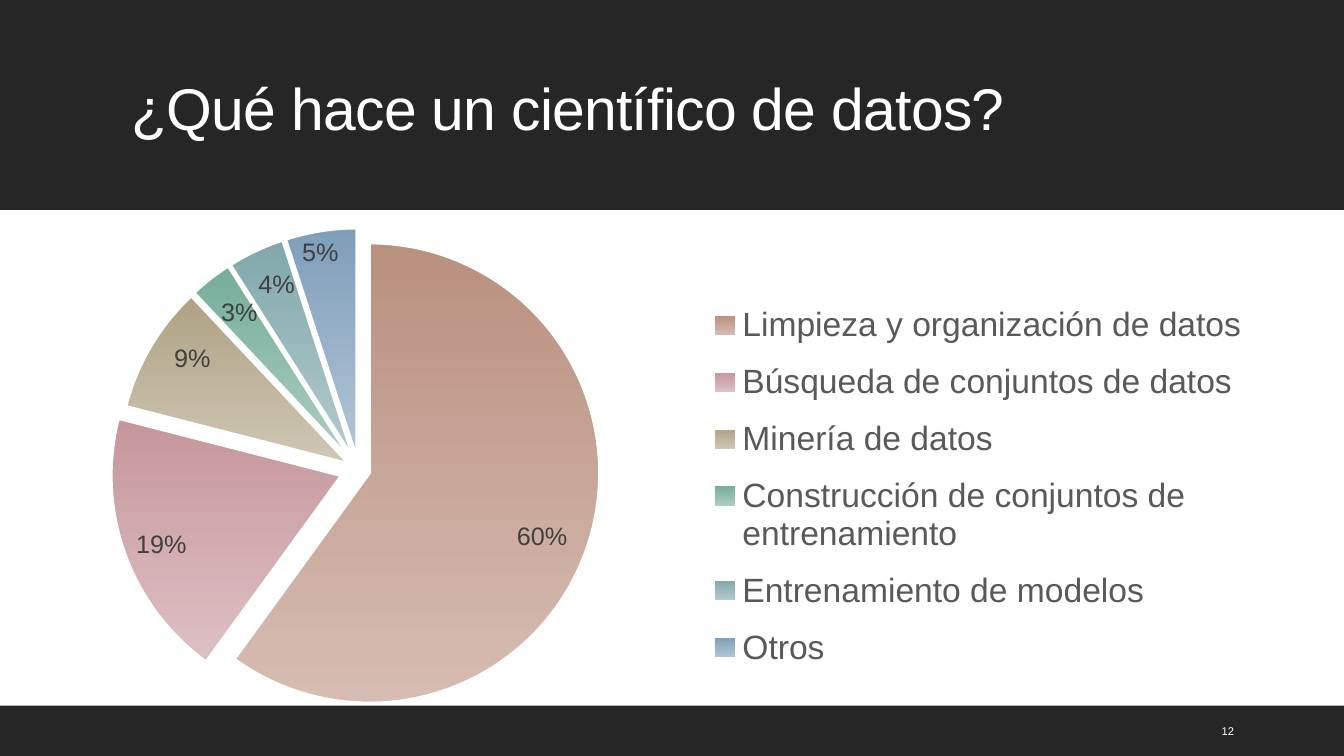
from lxml import etree
from pptx import Presentation
from pptx import util as u
from pptx.chart.data import CategoryChartData
from pptx.dml.color import RGBColor
from pptx.enum import chart as charts, shapes, text
from pptx.oxml import parse_xml
from pptx.oxml.ns import nsdecls, qn

COLORS = {"paper": "FFFFFF", "band": "262626", "legend": "595959", "label": "404040"}
WIDTH, HEIGHT = 960, 540
TASKS = [
    ("Limpieza y organización de datos", 60, 5, (-11, 6), "BA907F", "D6BCB2"),
    ("Búsqueda de conjuntos de datos", 19, 8, (4, 5), "C6969C", "DDC0C4"),
    ("Minería de datos", 9, 5, (13, -4), "AFA283", "CFC7B5"),
    ("Construcción de conjuntos de entrenamiento", 3, 5, (5, 11), "76AD9A", "ADCEC2"),
    ("Entrenamiento de modelos", 4, 5, (0, 10), "81A8AB", "B3CBCD"),
    ("Otros", 5, 5, (-14, 1), "7F9EBA", "B2C5D6"),
]


class SlideBuilder:
    def __init__(self, page, typeface, colors):
        self.page = page
        self.typeface = typeface
        self.colors = {name: RGBColor.from_string(value) for name, value in colors.items()}

    def style(self, font, size, color):
        font.name = self.typeface
        font.size = u.Pt(size)
        font.color.rgb = self.colors[color]

    def band(self, top, height):
        box = self.page.shapes.add_shape(
            shapes.MSO_SHAPE.RECTANGLE, 0, u.Pt(top), u.Pt(WIDTH), u.Pt(height))
        box.shadow.inherit = False
        box.fill.solid()
        box.fill.fore_color.rgb = self.colors["band"]
        box.line.fill.background()

    def text(self, words, bounds, size, line_spacing=1.0, tracking=0):
        box = self.page.shapes.add_textbox(*map(u.Pt, bounds))
        frame = box.text_frame
        frame.word_wrap = True
        frame.vertical_anchor = text.MSO_ANCHOR.MIDDLE
        para = frame.paragraphs[0]
        para.line_spacing = line_spacing
        span = para.add_run()
        span.text = words
        self.style(para.font, size, "paper")
        if tracking:
            span.font._element.set("spc", str(int(tracking * 100)))

    def layout(self, settings):
        layout = parse_xml(f"<c:layout {nsdecls('c')}><c:manualLayout/></c:layout>")
        for name, value in settings:
            etree.SubElement(layout[0], qn(f"c:{name}")).set("val", str(value))
        return layout

    def frame_layout(self, parent, bounds, target=()):
        for old in parent.findall(qn("c:layout")):
            parent.remove(old)
        return self.layout([*target, ("xMode", "edge"), ("yMode", "edge"), *zip("xywh", bounds)])

    def slice(self, series, index, task, chart_size):
        _, _, explosion, shift, *shades = task
        point = series.points[index]
        fill = point.format.fill
        fill.gradient()
        fill.gradient_angle = 270
        for stop, shade, position in zip(fill.gradient_stops, shades, (0, 1)):
            stop.color.rgb = RGBColor.from_string(shade)
            stop.position = position
        point.format.line.color.rgb = self.colors["paper"]
        point.format.line.width = u.Pt(2)
        series._element.xpath(f"c:dPt[c:idx/@val='{index}']/c:spPr")[0].addprevious(
            parse_xml(f'<c:explosion {nsdecls("c")} val="{explosion}"/>'))

        self.style(point.data_label.font, 18, "label")
        point.data_label.position = charts.XL_LABEL_POSITION.INSIDE_END
        label = series._element.xpath(f"c:dLbls/c:dLbl[c:idx/@val='{index}']")[0]
        label.find(qn("c:showVal")).set("val", "0")
        label.find(qn("c:showPercent")).set("val", "1")
        offsets = [round(move / size, 4) for move, size in zip(shift, chart_size)]
        label.find(qn("c:idx")).addnext(self.layout(zip("xy", offsets)))

    def pie(self, tasks, bounds, plot_bounds, legend_bounds):
        data = CategoryChartData(number_format="0")
        data.categories = [task[0] for task in tasks]
        data.add_series("Series 1", [task[1] for task in tasks])
        chart = self.page.shapes.add_chart(
            charts.XL_CHART_TYPE.PIE, *map(u.Pt, bounds), data).chart
        chart.has_title = False
        chart.font.name = self.typeface
        chart.font.size = u.Pt(10)

        plot = chart.plots[0]
        plot.vary_by_categories = True
        area = plot._element.getparent()
        area.insert(0, self.frame_layout(area, plot_bounds, [("layoutTarget", "inner")]))

        series = plot.series[0]
        labels = series.data_labels
        labels.show_percentage = True
        labels.show_value = False
        labels.number_format = "0%"
        labels.number_format_is_linked = False
        labels.position = charts.XL_LABEL_POSITION.INSIDE_END
        self.style(labels.font, 18, "label")
        for leader in labels._element.findall(qn("c:showLeaderLines")):
            leader.set("val", "0")
        for index, task in enumerate(tasks):
            self.slice(series, index, task, bounds[2:])

        chart.has_legend = True
        legend = chart.legend
        legend.position = charts.XL_LEGEND_POSITION.RIGHT
        legend.include_in_layout = False
        self.style(legend.font, 24, "legend")
        legend._element.find(qn("c:legendPos")).addnext(
            self.frame_layout(legend._element, legend_bounds))


def main():
    deck = Presentation()
    deck.slide_width, deck.slide_height = u.Pt(WIDTH), u.Pt(HEIGHT)
    page = deck.slides.add_slide(deck.slide_layouts[6])
    builder = SlideBuilder(page, "Arial", COLORS)
    builder.band(0, 150)
    builder.text("¿Qué hace un científico de datos?", (86.9, 22.5, 792, 114.5), 42, 0.9, -0.5)
    builder.band(504, 36)
    builder.text("12", (865.5, 507.6, 61, 28.8), 8)
    builder.pie(TASKS, (23, 159, 918, 355.7),
                (0.075, 0.034, 0.358, 0.924), (0.516, 0.13, 0.44, 0.8))
    deck.save("out.pptx")


if __name__ == "__main__":
    main()
